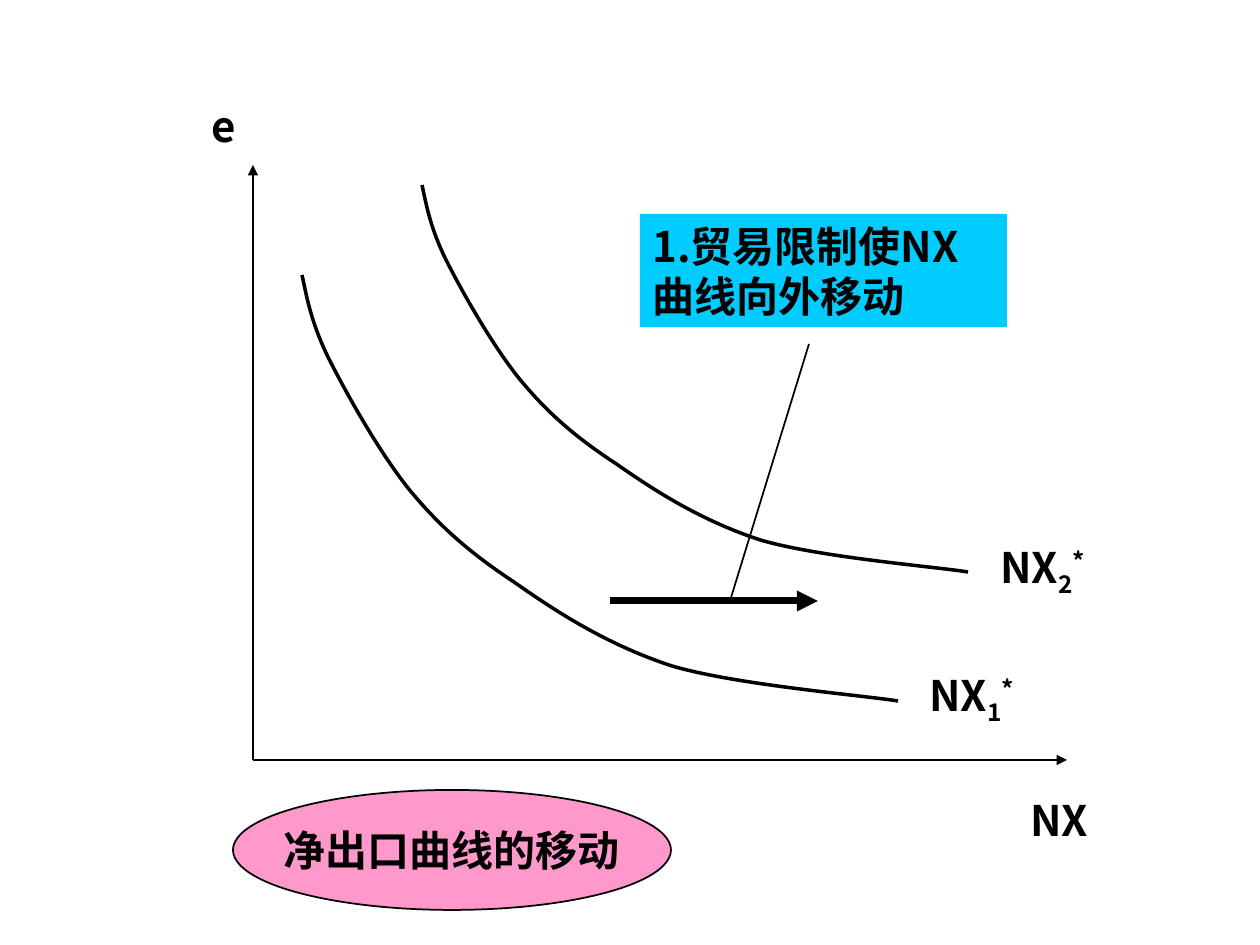
from dataclasses import dataclass

import pptx
import pptx.dml.color
import pptx.enum.shapes
import pptx.enum.text
import pptx.oxml.ns
import pptx.oxml.xmlchemy
import pptx.util

EMU_PER_PX = 914400 / 126


@dataclass(frozen=True)
class Theme:
    font: str = "Noto Sans CJK SC"
    size: int = 24
    leading: float = 28.8
    ink: str = "000000"
    callout: str = "00CCFF"
    caption: str = "FF99CC"
    thin: int = 1
    curve: int = 2
    thick: int = 4


@dataclass(frozen=True)
class Box:
    left: int
    top: int
    width: int
    height: int


@dataclass(frozen=True)
class Label:
    box: Box
    text: str
    subscript: str = ""
    superscript: str = ""


@dataclass(frozen=True)
class Stroke:
    start: tuple[int, int]
    end: tuple[int, int]
    weight: int
    arrow: bool = True


THEME = Theme()

DEMAND_SIZE = (596, 426)
DEMAND_POINTS = [
    (0, 0), (5, 23), (9, 47), (26, 82),
    (44, 118), (76, 175), (106, 213),
    (137, 251), (168, 278), (212, 307),
    (256, 338), (306, 370), (370, 391),
    (435, 410), (558, 420), (596, 426),
]
CURVES = [Box(302, 275, 596, 426), Box(422, 185, 546, 387)]

STROKES = [
    Stroke((253, 760), (253, 165), THEME.thin),
    Stroke((253, 760), (1067, 760), THEME.thin),
    Stroke((610, 601), (818, 601), THEME.thick),
    Stroke((809, 344), (730, 601), THEME.thin, arrow=False),
]

LABELS = [
    Label(Box(199, 94, 209, 63), "e"),
    Label(Box(1018, 788, 106, 63), "NX"),
    Label(Box(988, 542, 149, 71), "NX", "2", "*"),
    Label(Box(917, 670, 149, 71), "NX", "1", "*"),
]
CALLOUT = Label(Box(640, 214, 367, 113), "1.贸易限制使NX曲线向外移动")
CAPTION = Label(Box(233, 790, 438, 120), "净出口曲线的移动")


def px(length: float) -> pptx.util.Emu:
    return pptx.util.Emu(round(length * EMU_PER_PX))


def frame(box: Box) -> tuple:
    return px(box.left), px(box.top), px(box.width), px(box.height)


def rgb(value: str) -> pptx.dml.color.RGBColor:
    return pptx.dml.color.RGBColor.from_string(value)


def element(tag: str):
    return pptx.oxml.xmlchemy.OxmlElement(tag)


def ink_line(line, weight: int) -> None:
    line.color.rgb = rgb(THEME.ink)
    line.width = pptx.util.Pt(weight)


def write(shape, label: Label) -> None:
    shape.text_frame.word_wrap = True
    paragraph = shape.text_frame.paragraphs[0]
    paragraph.alignment = pptx.enum.text.PP_ALIGN.LEFT
    paragraph.line_spacing = pptx.util.Pt(THEME.leading)
    paragraph.font.size = pptx.util.Pt(THEME.size)
    paragraph.font.bold = True
    paragraph.font.name = THEME.font
    paragraph.font.color.rgb = rgb(THEME.ink)
    parts = ((label.text, 0), (label.subscript, -25000), (label.superscript, 30000))
    for text, baseline in parts:
        if not text:
            continue
        run = paragraph.add_run()
        run.text = text
        properties = run._r.get_or_add_rPr()
        if baseline:
            properties.set("baseline", str(baseline))
        east_asian = element("a:ea")
        east_asian.set("typeface", THEME.font)
        properties.append(east_asian)


def draw_stroke(shapes, stroke: Stroke) -> None:
    connector = shapes.add_connector(
        pptx.enum.shapes.MSO_CONNECTOR.STRAIGHT,
        *map(px, stroke.start + stroke.end),
    )
    ink_line(connector.line, stroke.weight)
    if stroke.arrow:
        head = element("a:tailEnd")
        head.set("type", "triangle")
        connector.line._get_or_add_ln().append(head)
    connector._element.spPr.append(element("a:effectLst"))


def draw_curve(shapes, box: Box) -> None:
    scale_x = box.width / DEMAND_SIZE[0]
    scale_y = box.height / DEMAND_SIZE[1]
    points = [
        (px(box.left + x * scale_x), px(box.top + y * scale_y))
        for x, y in DEMAND_POINTS
    ]
    builder = shapes.build_freeform(*points[0])
    builder.add_line_segments(points[1:], close=False)
    curve = builder.convert_to_shape()
    curve.shadow.inherit = False
    curve.fill.background()
    ink_line(curve.line, THEME.curve)

    outline = curve._element.find(".//" + pptx.oxml.ns.qn("a:path"))
    segments = outline.findall(pptx.oxml.ns.qn("a:lnTo"))
    for first in range(0, len(segments), 3):
        bezier = element("a:cubicBezTo")
        for segment in segments[first:first + 3]:
            bezier.append(segment[0])
            outline.remove(segment)
        outline.append(bezier)


def draw_label(shapes, label: Label) -> None:
    write(shapes.add_textbox(*frame(label.box)), label)


def draw_panel(shapes, kind, label: Label, fill: str):
    panel = shapes.add_shape(kind, *frame(label.box))
    panel.shadow.inherit = False
    panel.fill.solid()
    panel.fill.fore_color.rgb = rgb(fill)
    panel.line.fill.background()
    write(panel, label)
    return panel


def main() -> None:
    deck = pptx.Presentation()
    deck.slide_width = px(1260)
    deck.slide_height = px(945)
    shapes = deck.slides.add_slide(deck.slide_layouts[6]).shapes

    for box in CURVES:
        draw_curve(shapes, box)
    for label in LABELS:
        draw_label(shapes, label)

    kinds = pptx.enum.shapes.MSO_SHAPE
    callout = draw_panel(shapes, kinds.RECTANGLE, CALLOUT, THEME.callout)
    callout.text_frame.vertical_anchor = pptx.enum.text.MSO_ANCHOR.TOP
    caption = draw_panel(shapes, kinds.OVAL, CAPTION, THEME.caption)
    ink_line(caption.line, THEME.thin)
    caption.text_frame.word_wrap = False
    caption.text_frame.paragraphs[0].alignment = pptx.enum.text.PP_ALIGN.CENTER

    for stroke in STROKES:
        draw_stroke(shapes, stroke)
    deck.save("out.pptx")


if __name__ == "__main__":
    main()
